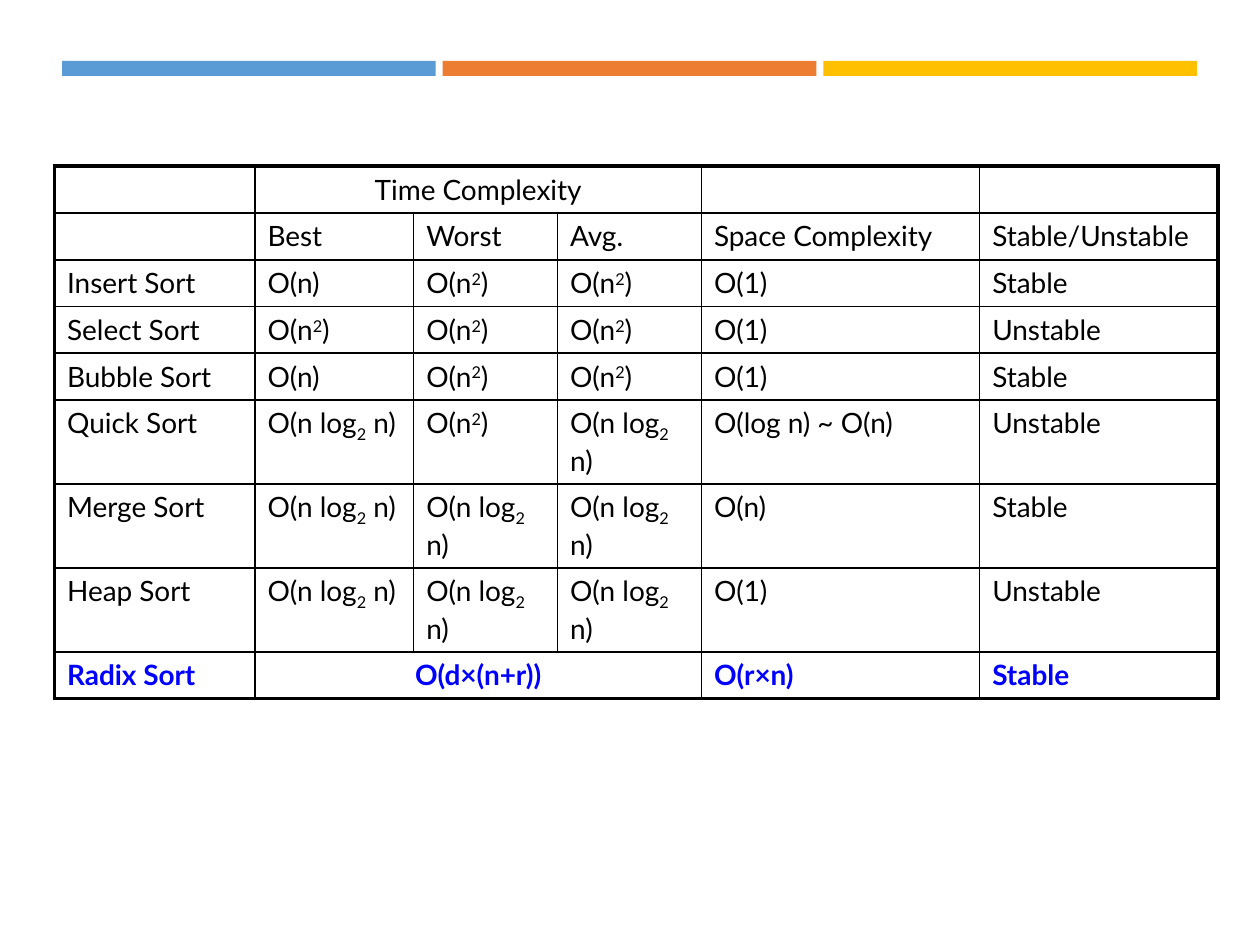
from lxml.etree import SubElement as Sub
from pptx import Presentation
from pptx.dml.color import RGBColor
from pptx.enum.shapes import MSO_SHAPE as Shape
from pptx.enum.text import PP_ALIGN as Align
from pptx.oxml.ns import qn
from pptx.util import Cm, Pt

FONT, SIZE = "Lato", 16
BLACK, BLUE = "000000", "0000FF"
THIN, THICK = 1, 2.25
COLS = [4.04, 3.2, 2.9, 2.9, 5.61, 4.8]
ROW = 0.94
SHIFT = {"^": "30000", "_": "-25000"}

# A mark before a digit raises (^) or lowers (_) it
SQUARE, LOG = "O(n^2)", "O(n log_2 n)"
ROWS = [
    ["", "Time Complexity", "", "", "", ""],
    ["", "Best", "Worst", "Avg.", "Space Complexity", "Stable/Unstable"],
    ["Insert Sort", "O(n)", SQUARE, SQUARE, "O(1)", "Stable"],
    ["Select Sort", SQUARE, SQUARE, SQUARE, "O(1)", "Unstable"],
    ["Bubble Sort", "O(n)", SQUARE, SQUARE, "O(1)", "Stable"],
    ["Quick Sort", LOG, SQUARE, LOG, "O(log n) ~ O(n)", "Unstable"],
    ["Merge Sort", LOG, LOG, LOG, "O(n)", "Stable"],
    ["Heap Sort", LOG, LOG, LOG, "O(1)", "Unstable"],
    ["Radix Sort", "O(d×(n+r))", "", "", "O(r×n)", "Stable"],
]
LAST = len(ROWS) - 1


def color(code):
    return RGBColor.from_string(code)


def add_bars(slide, left, top, width, height, fills, gap):
    """Equal bars side by side."""
    size = (width - gap * (len(fills) - 1)) / len(fills)
    for i, code in enumerate(fills):
        bar = slide.shapes.add_shape(
            Shape.RECTANGLE, Cm(left + i * (size + gap)), Cm(top), Cm(size), Cm(height))
        bar.shadow.inherit = False
        bar.fill.solid()
        bar.fill.fore_color.rgb = color(code)
        bar.line.fill.background()


def split(text):
    """Cut a marked text into pairs of words and baseline shift."""
    for mark, shift in SHIFT.items():
        if mark in text:
            head, tail = text.split(mark)
            return [(head, None), (tail[0], shift), (tail[1:], None)]
    return [(text, None)] if text else []


def write(cell, text, code, bold):
    par = cell.text_frame.paragraphs[0]
    for part, shift in split(text):
        run = par.add_run()
        run.text = part
        font = run.font
        font.name, font.size, font.bold = FONT, Pt(SIZE), bold
        font.color.rgb = color(code)
        if shift:
            run._r.get_or_add_rPr().set("baseline", shift)
    if not text:
        par._p.get_or_add_endParaRPr().set("sz", str(SIZE * 100))


def set_edges(cell, row, col):
    """Thick lines round the table, thin ones inside."""
    props = cell._tc.get_or_add_tcPr()
    outer = {"L": col == 0, "R": col == len(COLS) - 1, "T": row == 0, "B": row == LAST}
    for side, thick in outer.items():
        line = Sub(props, qn(f"a:ln{side}"), w=str(Pt(THICK if thick else THIN)))
        fill = Sub(line, qn("a:solidFill"))
        Sub(fill, qn("a:srgbClr"), val=BLACK)


def add_sorts(slide, left, top):
    frame = slide.shapes.add_table(
        len(ROWS), len(COLS), Cm(left), Cm(top), Cm(sum(COLS)), Cm(ROW * len(ROWS)))
    table = frame.table
    table.first_row = table.horz_banding = False
    for col, width in zip(table.columns, COLS):
        col.width = Cm(width)
    for r, texts in enumerate(ROWS):
        table.rows[r].height = Cm(ROW)
        for c, text in enumerate(texts):
            cell = table.cell(r, c)
            write(cell, text, BLUE if r == LAST else BLACK, r == LAST)
            set_edges(cell, r, c)
            cell.fill.background()
    for r in (0, LAST):
        first = table.cell(r, 1)
        first.merge(table.cell(r, 3))
        first.text_frame.paragraphs[0].alignment = Align.CENTER


def main():
    deck = Presentation()
    deck.slide_width, deck.slide_height = Cm(25.4), Cm(19.05)
    slide = deck.slides.add_slide(deck.slide_layouts[6])
    add_bars(slide, 1.25, 1.23, 22.88, 0.3, ["5B9BD5", "ED7D31", "FFC000"], 0.14)
    add_sorts(slide, 1.1, 3.35)
    deck.save("out.pptx")


if __name__ == "__main__":
    main()
